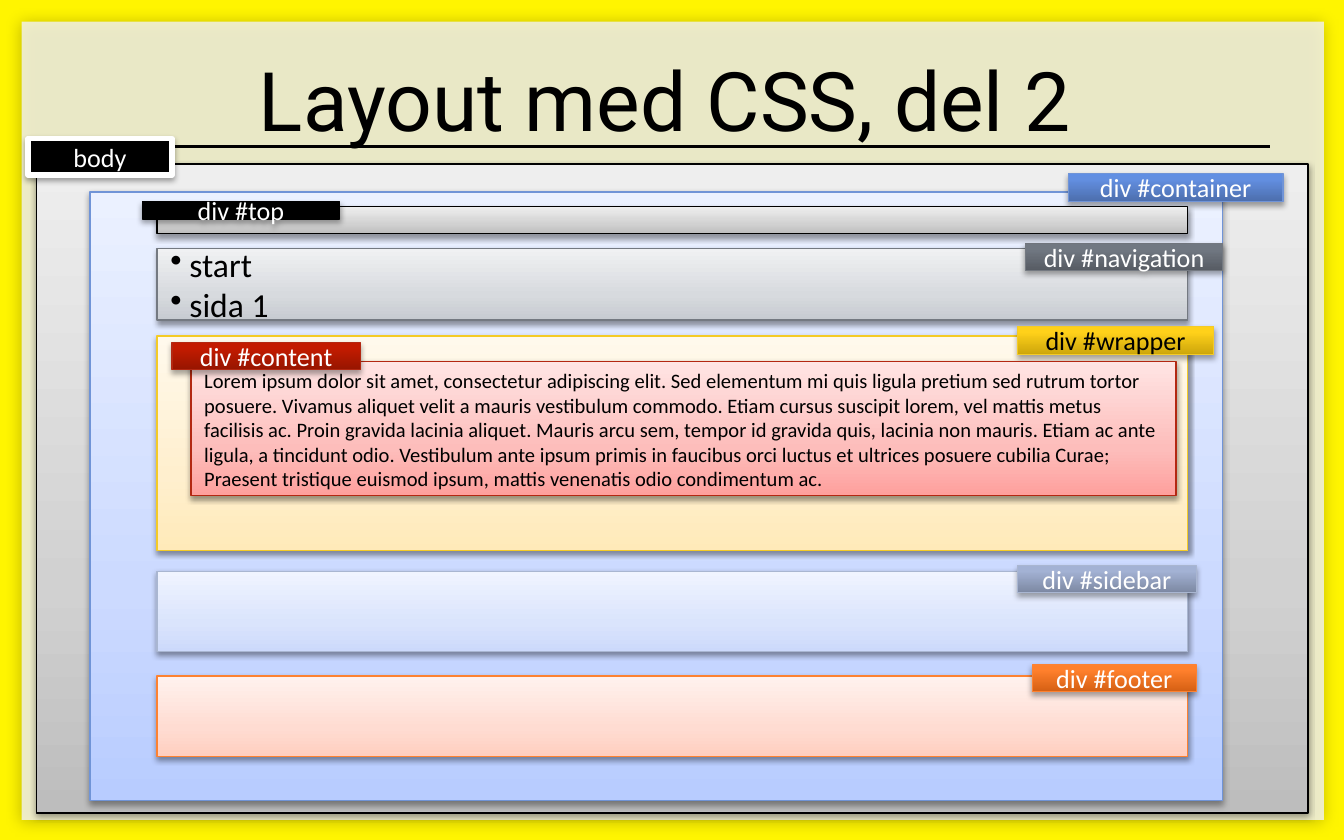
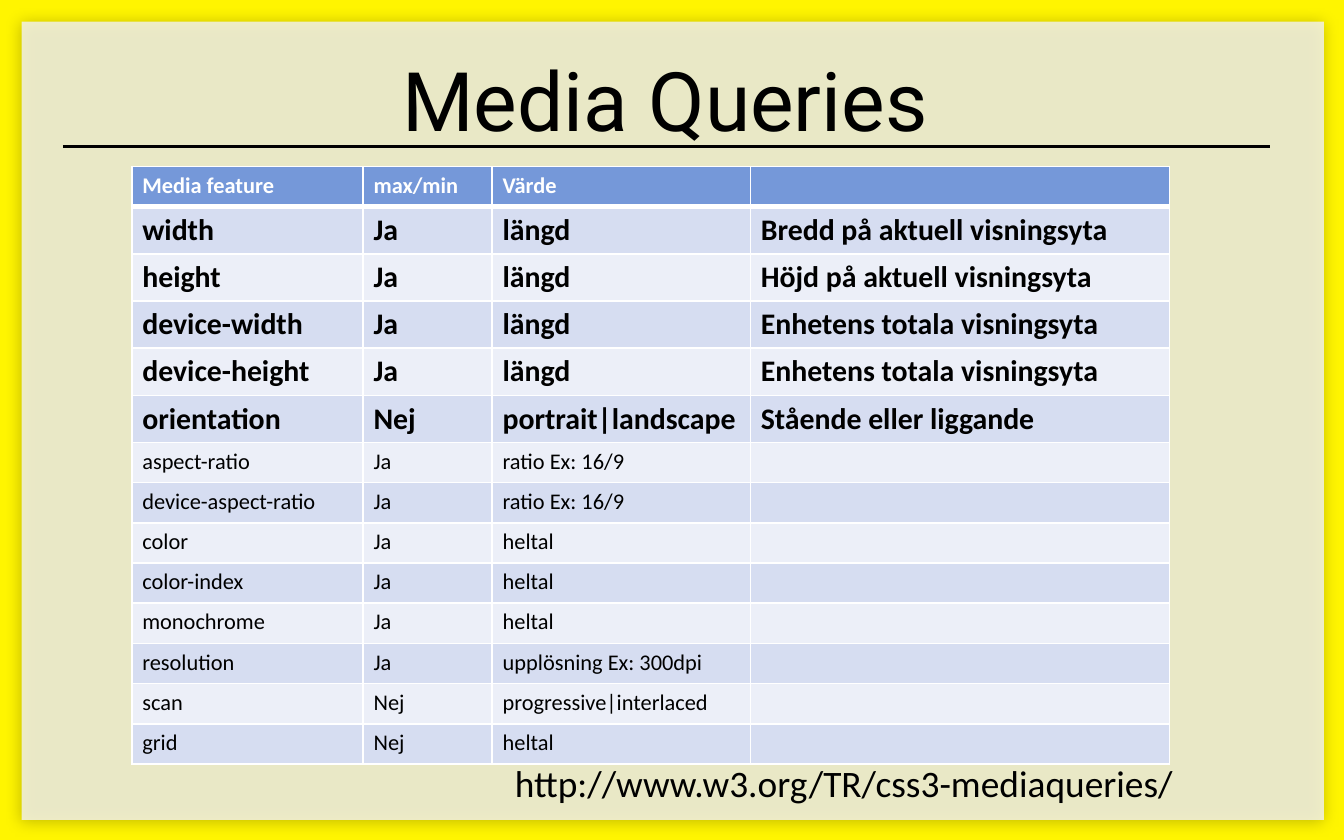
from copy import deepcopy
from dataclasses import dataclass
from typing import Any, NamedTuple, Optional

from lxml.etree import SubElement
from pptx import Presentation
from pptx.dml.color import RGBColor
from pptx.enum.shapes import MSO_CONNECTOR, MSO_SHAPE
from pptx.enum.text import MSO_ANCHOR, MSO_AUTO_SIZE, PP_ALIGN
from pptx.oxml.ns import qn
from pptx.util import Cm, Pt


# Theme: colours, fonts and type sizes
@dataclass(frozen=True)
class Theme:
    black: str = "000000"
    white: str = "FFFFFF"
    yellow: str = "FFF500"
    paper: str = "F2F2F2"
    head: str = "7598D9"
    bands: tuple = ("D6DDF1", "ECEFF8")
    serif: str = "Roboto"
    sans: str = "Calibri"
    title: int = 44
    link: int = 20
    menu: int = 18
    strong: int = 16
    label: int = 14
    cell: int = 12
    small: int = 11


THEME = Theme()


class Box(NamedTuple):
    x: float
    y: float
    w: float
    h: float

    def cm(self) -> tuple:
        return tuple(Cm(side) for side in self)


class Shade(NamedTuple):
    alpha: int
    blur: float
    dist: float


class Tone(NamedTuple):
    panel: tuple
    tag: tuple
    edge: str


class Zone(NamedTuple):
    name: str
    tone: Tone
    panel: Box
    tag: Box
    ink: str = THEME.white
    rim: Optional[tuple] = None
    text: tuple = ()
    size: int = THEME.small
    dots: bool = False


PAGE = Shade(28, 8, 1)
SOFT = Shade(38, 3.1, 1.6)
FIRM = Shade(35, 3.1, 1.8)
STOPS = {"panel": (0, 0.35, 1), "tag": (0, 0.8, 1)}

GREY = Tone(("BDBDBD", "D1D1D1", "EEEEEE"), (THEME.black,), THEME.black)
BLUE = Tone(("B8CCFF", "CCDAFF", "EBF1FF"), ("4C6EAD", "638FE1", "618FE4"), "7094D7")
SLATE = Tone(("C7CBD1", "D7DADE", "F0F1F3"), ("575C64", "717882", "727883"), "747981")
GOLD = Tone(("FFEAB9", "FFEFCE", "FFF9EC"), ("CDA60B", "FFD11A", "FFD11B"), "F4CB27")
RED = Tone(("FEA09D", "FDBDBB", "FFE5E4"), ("961500", "C31B00", "C41B00"), "B32812")
MIST = Tone(("CCD9FB", "DAE4FC", "F0F4FF"), ("7D89A3", "A3B2D4", "A3B3D6"), "A9B6D1")
RUST = Tone(("FFCEBF", "FFDCD2", "FFF2EE"), ("D45F13", "FF802C", "FF812E"), "FD8231")

LOREM = (
    "Lorem ipsum dolor sit amet, consectetur adipiscing elit. Sed elementum mi quis "
    "ligula pretium sed rutrum tortor posuere. Vivamus aliquet velit a mauris vestibulum "
    "commodo. Etiam cursus suscipit lorem, vel mattis metus facilisis ac. Proin gravida "
    "lacinia aliquet. Mauris arcu sem, tempor id gravida quis, lacinia non mauris. Etiam "
    "ac ante ligula, a tincidunt odio. Vestibulum ante ipsum primis in faucibus orci "
    "luctus et ultrices posuere cubilia Curae; Praesent tristique euismod ipsum, mattis "
    "venenatis odio condimentum ac."
)


def row(y: float, h: float) -> Box:
    """A full-width block inside the container."""
    return Box(2.97, y, 19.48, h)


ZONES = (
    Zone("body", GREY, Box(0.69, 3.1, 24.03, 12.27), Box(0.53, 2.62, 2.72, 0.69),
         rim=(THEME.white, 3)),
    Zone("div #container", BLUE, Box(1.7, 3.63, 21.41, 11.51), Box(20.19, 3.28, 4.06, 0.53)),
    Zone("div #navigation", SLATE, row(4.7, 1.35), Box(19.38, 4.6, 3.73, 0.51),
         text=("start", "sida 1"), size=THEME.menu, dots=True),
    Zone("div #wrapper", GOLD, row(6.35, 4.06), Box(19.23, 6.17, 3.71, 0.53), ink=THEME.black),
    Zone("div #content", RED, Box(3.61, 6.83, 18.62, 2.54), Box(3.25, 6.48, 3.56, 0.51),
         text=(LOREM,)),
    Zone("div #sidebar", MIST, row(10.8, 1.52), Box(19.23, 10.69, 3.38, 0.51)),
    Zone("div #footer", RUST, row(12.78, 1.52), Box(19.51, 12.57, 3.1, 0.51)),
    Zone("div #top", GREY, row(3.91, 0.51), Box(2.69, 3.81, 3.73, 0.33)),
)

COLS = (4.37, 2.44, 4.88, 7.92)
TALL = 0.76
MEDIA = (
    ("Media feature", "max/min", "Värde", ""),
    ("width", "Ja", "längd", "Bredd på aktuell visningsyta"),
    ("height", "Ja", "längd", "Höjd på aktuell visningsyta"),
    ("device-width", "Ja", "längd", "Enhetens totala visningsyta"),
    ("device-height", "Ja", "längd", "Enhetens totala visningsyta"),
    ("orientation", "Nej", "portrait|landscape", "Stående eller liggande"),
    ("aspect-ratio", "Ja", "ratio Ex: 16/9", ""),
    ("device-aspect-ratio", "Ja", "ratio Ex: 16/9", ""),
    ("color", "Ja", "heltal", ""),
    ("color-index", "Ja", "heltal", ""),
    ("monochrome", "Ja", "heltal", ""),
    ("resolution", "Ja", "upplösning Ex: 300dpi", ""),
    ("scan", "Nej", "progressive|interlaced", ""),
    ("grid", "Nej", "heltal", ""),
)
STRONG = range(1, 6)


# Formatting helpers
def put(item: Any, form: dict) -> None:
    for key, value in form.items():
        setattr(item, key, value)


def rgb(code: str) -> RGBColor:
    return RGBColor.from_string(code)


def write(frame: Any, lines: tuple, size: int, ink: str, font: str = THEME.sans,
          bold: bool = False, align: PP_ALIGN = PP_ALIGN.LEFT, dots: bool = False) -> None:
    for i, line in enumerate(lines):
        para = frame.add_paragraph() if i else frame.paragraphs[0]
        para.alignment = align
        if dots:
            props = para._p.get_or_add_pPr()
            put_xml(props, {"marL": Cm(0.36), "indent": -Cm(0.36)})
            SubElement(props, qn("a:buChar"), char="•")
        if not line:
            SubElement(para._p, qn("a:endParaRPr"), sz=str(size * 100))
            continue
        run = para.add_run()
        run.text = line
        put(run.font, {"name": font, "size": Pt(size), "bold": bold})
        run.font.color.rgb = rgb(ink)


def put_xml(node: Any, form: dict) -> None:
    for key, value in form.items():
        node.set(key, str(int(value)))


def paint(shape: Any, tints: tuple, spots: tuple) -> None:
    """Fill with one colour, or with a gradient that rises from the bottom."""
    if len(tints) == 1:
        shape.fill.solid()
        shape.fill.fore_color.rgb = rgb(tints[0])
        return
    shape.fill.gradient()
    shape.fill.gradient_angle = 90
    stops = shape._element.spPr.find(".//" + qn("a:gsLst"))
    stops.append(deepcopy(stops[-1]))
    for stop, tint, spot in zip(shape.fill.gradient_stops, tints, spots):
        stop.color.rgb = rgb(tint)
        stop.position = spot


def cast(shape: Any, shade: Shade) -> None:
    shape.shadow.inherit = False
    effects = shape._element.spPr.find(qn("a:effectLst"))
    outer = SubElement(effects, qn("a:outerShdw"), rotWithShape="0")
    put_xml(outer, {"blurRad": Pt(shade.blur), "dist": Pt(shade.dist), "dir": 5400000})
    tint = SubElement(outer, qn("a:srgbClr"), val=THEME.black)
    put_xml(SubElement(tint, qn("a:alpha")), {"val": shade.alpha * 1000})


def block(slide: Any, box: Box, tints: tuple, spots: tuple = (),
          rim: Optional[tuple] = None, shade: Optional[Shade] = None) -> Any:
    shape = slide.shapes.add_shape(MSO_SHAPE.RECTANGLE, *box.cm())
    paint(shape, tints, spots)
    if rim:
        shape.line.color.rgb = rgb(rim[0])
        shape.line.width = Pt(rim[1])
    else:
        shape.line.fill.background()
    if shade:
        cast(shape, shade)
    else:
        shape.shadow.inherit = False
    return shape


# Shared frame, kept on the layout
def dress(slide: Any) -> None:
    back = block(slide, Box(0, 0, 25.4, 15.88), (THEME.yellow,))
    sheet = block(slide, Box(0.41, 0.41, 24.61, 15.09), (THEME.paper,), shade=PAGE)
    tint = sheet._element.spPr.find(qn("a:solidFill"))[0]
    put_xml(SubElement(tint, qn("a:alpha")), {"val": 82000})
    rule = slide.shapes.add_connector(
        MSO_CONNECTOR.STRAIGHT, Cm(1.19), Cm(2.77), Cm(24), Cm(2.77))
    rule.line.color.rgb = rgb(THEME.black)
    rule.line.width = Pt(1.5)
    SubElement(rule._element.spPr, qn("a:effectLst"))
    tree = slide.slide_layout.shapes.element
    for i, part in enumerate((back, sheet, rule)):
        put_xml(part._element[0][0], {"id": 100 + i})
        tree.insert(2 + i, part._element)


def head(slide: Any, words: str) -> None:
    title = slide.shapes.title
    names = ("left", "top", "width", "height")
    put(title, dict(zip(names, Box(1.78, 0.79, 21.59, 2.16).cm())))
    put(title.text_frame, {"vertical_anchor": MSO_ANCHOR.MIDDLE, "word_wrap": True,
                           "auto_size": MSO_AUTO_SIZE.NONE})
    write(title.text_frame, (words,), THEME.title, THEME.black, THEME.serif,
          align=PP_ALIGN.CENTER)


# Page zones
def zone(slide: Any, item: Zone) -> None:
    tone, rim = item.tone, (item.tone.edge, 0.75)
    panel = block(slide, item.panel, tone.panel, STOPS["panel"], rim, SOFT)
    if item.text:
        panel.text_frame.vertical_anchor = MSO_ANCHOR.MIDDLE if item.dots else MSO_ANCHOR.TOP
        write(panel.text_frame, item.text, item.size, THEME.black, dots=item.dots)
    tag = block(slide, item.tag, tone.tag, STOPS["tag"], item.rim or rim, FIRM)
    tag.text_frame.vertical_anchor = MSO_ANCHOR.MIDDLE
    write(tag.text_frame, (item.name,), THEME.label, item.ink, align=PP_ALIGN.CENTER)


# Media table
def edge(cell: Any, sides: dict) -> None:
    props = cell._tc.get_or_add_tcPr()
    for side, width in sides.items():
        line = SubElement(props, qn("a:ln" + side), w=str(Pt(width)))
        SubElement(SubElement(line, qn("a:solidFill")), qn("a:srgbClr"), val=THEME.white)


def grid(slide: Any) -> None:
    box = Box(2.49, 3.15, sum(COLS), TALL * len(MEDIA))
    table = slide.shapes.add_table(len(MEDIA), len(COLS), *box.cm()).table
    for col, width in zip(table.columns, COLS):
        col.width = Cm(width)
    for i, words in enumerate(MEDIA):
        table.rows[i].height = Cm(TALL)
        bold = i == 0 or i in STRONG
        size = THEME.strong if i in STRONG else THEME.cell
        for j, word in enumerate(words):
            cell = table.cell(i, j)
            put(cell, {"margin_left": Cm(0.2), "margin_right": Cm(0.2),
                       "margin_top": Cm(0.1), "margin_bottom": Cm(0.1)})
            edge(cell, {"L": 1, "R": 1, "T": 3 if i == 1 else 1, "B": 1 if i else 3})
            cell.fill.solid()
            cell.fill.fore_color.rgb = rgb(THEME.bands[(i - 1) % 2] if i else THEME.head)
            write(cell.text_frame, (word,), size, THEME.black if i else THEME.white, bold=bold)


def link(slide: Any) -> None:
    frame = slide.shapes.add_textbox(*Box(9.53, 14.27, 12.98, 1.07).cm()).text_frame
    put(frame, {"margin_left": Cm(0.2), "margin_right": Cm(0.2), "margin_top": Cm(0.1),
                "margin_bottom": Cm(0.1), "word_wrap": False,
                "auto_size": MSO_AUTO_SIZE.SHAPE_TO_FIT_TEXT})
    write(frame, ("http://www.w3.org/TR/css3-mediaqueries/",), THEME.link, THEME.black)


def main() -> None:
    deck = Presentation()
    put(deck, {"slide_width": Cm(25.4), "slide_height": Cm(15.88)})
    plan = deck.slide_layouts[5]

    page = deck.slides.add_slide(plan)
    dress(page)
    head(page, "Layout med CSS, del 2")
    for item in ZONES:
        zone(page, item)

    page = deck.slides.add_slide(plan)
    head(page, "Media Queries")
    grid(page)
    link(page)

    deck.save("out.pptx")


if __name__ == "__main__":
    main()
